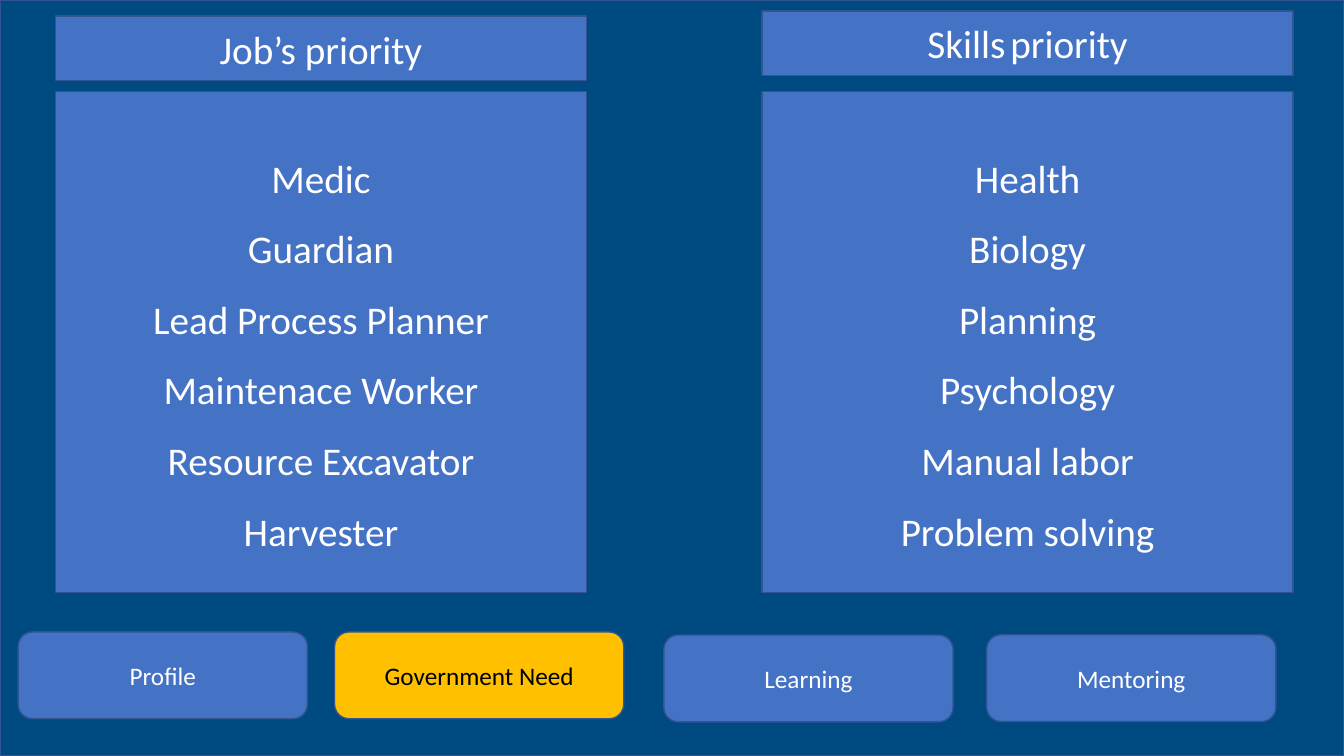
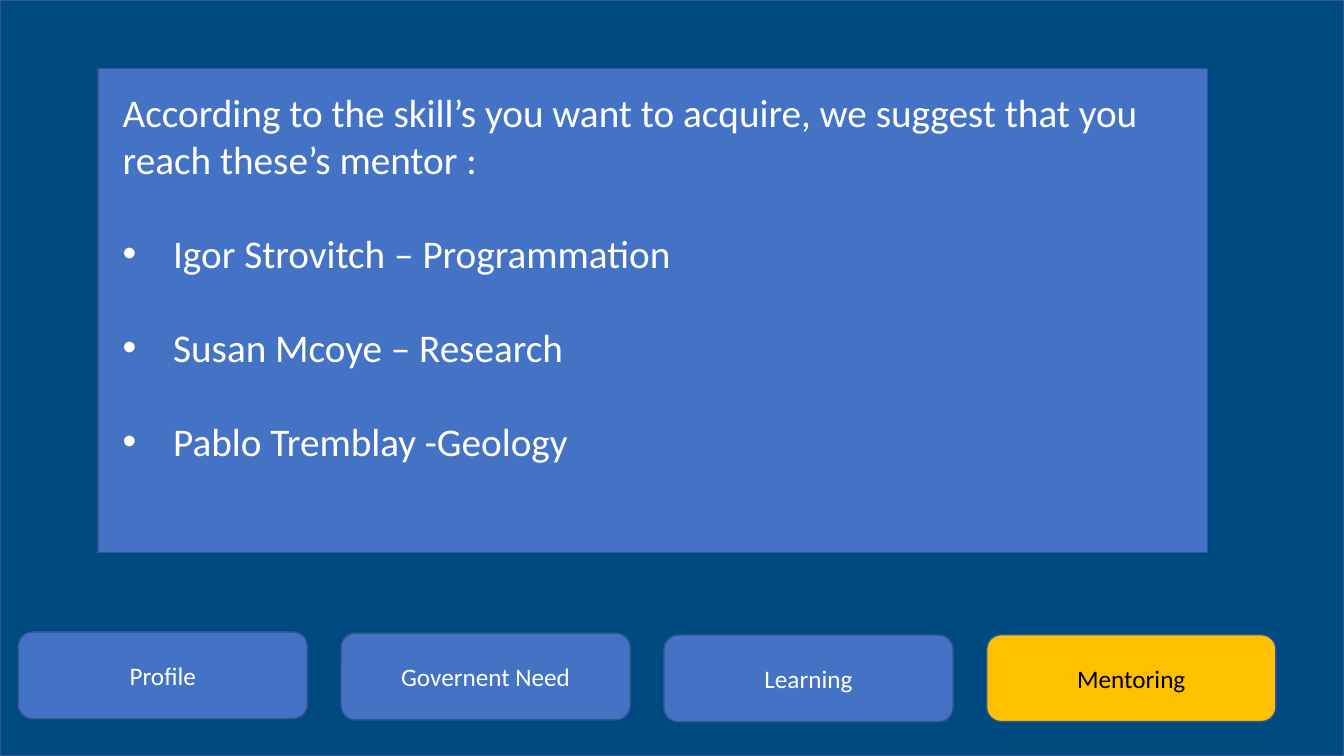
"""Build the two screens of a career guidance app: priorities and mentoring."""
import pptx
import pptx.util
import pptx.dml.color
import pptx.enum.shapes
import pptx.enum.text
from lxml import etree
from pptx.oxml.ns import qn

Pt = pptx.util.Pt
RGBColor = pptx.dml.color.RGBColor
MSO_SHAPE = pptx.enum.shapes.MSO_SHAPE
PP_ALIGN = pptx.enum.text.PP_ALIGN

NAVY = RGBColor(0x00, 0x4A, 0x82)
BLUE = RGBColor(0x44, 0x72, 0xC4)
OUTLINE = RGBColor(0x32, 0x54, 0x91)
GOLD = RGBColor(0xFF, 0xC0, 0x00)
WHITE = RGBColor(0xFF, 0xFF, 0xFF)
BLACK = RGBColor(0x00, 0x00, 0x00)

FONT = "Calibri"
WIDTH, HEIGHT = 960, 540
BODY_SIZE, NAV_SIZE = 28, 18
NAV_LEFT, NAV_PITCH = 13, 230.6
NAV_WIDTH, NAV_HEIGHT = 206.6, 62
PANEL_WIDTH = 379.4

JOBS = ["Medic", "Guardian", "Lead Process Planner", "Maintenace Worker",
        "Resource Excavator", "Harvester"]
SKILLS = ["Health", "Biology", "Planning", "Psychology", "Manual labor",
          "Problem solving"]
MENTOR_INTRO = ("According to the skill’s you want to acquire, "
                "we suggest that you reach these’s mentor :")
MENTORS = ["Igor Strovitch – Programmation", "Susan Mcoye – Research",
           "Pablo Tremblay -Geology"]


def style_font(font, size, color):
    font.name = FONT
    font.size = Pt(size)
    font.color.rgb = color


def add_box(s, kind, left, top, width, height, fill):
    sp = s.shapes.add_shape(kind, Pt(left), Pt(top), Pt(width), Pt(height))
    sp.shadow.inherit = False
    sp.fill.solid()
    sp.fill.fore_color.rgb = fill
    sp.line.color.rgb = OUTLINE
    sp.line.width = Pt(1)
    return sp


def add_label(sp, lines, size=BODY_SIZE, color=WHITE, spacing=None):
    tf = sp.text_frame
    tf.text = "\n".join(lines)
    for p in tf.paragraphs:
        p.alignment = PP_ALIGN.CENTER
        p.line_spacing = spacing
        for r in p.runs:
            style_font(r.font, size, color)


def add_heading(s, left, top, words):
    sp = add_box(s, MSO_SHAPE.RECTANGLE, left, top, PANEL_WIDTH, 46, BLUE)
    add_label(sp, words[:1])
    p = sp.text_frame.paragraphs[0]
    for word in words[1:]:
        for text, size in ((" ", 16), (word, BODY_SIZE)):
            r = p.add_run()
            r.text = text
            style_font(r.font, size, WHITE)


def add_ranking(s, left, items):
    sp = add_box(s, MSO_SHAPE.RECTANGLE, left, 65.5, PANEL_WIDTH, 357.8, BLUE)
    add_label(sp, items, spacing=1.5)


def add_nav(s, active, need_label, need_left, need_top):
    tops = (451.4, need_top, 453.6, 453.4)
    for i, label in enumerate(("Profile", need_label, "Learning", "Mentoring")):
        left = need_left if i == 1 else NAV_LEFT + i * NAV_PITCH
        fill, color = (GOLD, BLACK) if i == active else (BLUE, WHITE)
        sp = add_box(s, MSO_SHAPE.ROUNDED_RECTANGLE, left, tops[i],
                     NAV_WIDTH, NAV_HEIGHT, fill)
        add_label(sp, [label], NAV_SIZE, color)


def add_bullet(p):
    pPr = p._p.get_or_add_pPr()
    pPr.set("marL", str(Pt(36)))
    pPr.set("indent", str(-Pt(36)))
    etree.SubElement(pPr, qn("a:buFont"), typeface="Arial")
    etree.SubElement(pPr, qn("a:buChar"), char="•")


def add_mentor_list(s, left, top, width, height):
    tf = s.shapes.add_textbox(Pt(left), Pt(top), Pt(width), Pt(height)).text_frame
    tf.word_wrap = True
    tf.text = "\n".join([MENTOR_INTRO] + MENTORS)
    for i, p in enumerate(tf.paragraphs):
        if i:
            add_bullet(p)
            p.space_before = Pt(33.5)
        for r in p.runs:
            style_font(r.font, BODY_SIZE, WHITE)


def new_screen(prs):
    s = prs.slides.add_slide(prs.slide_layouts[6])
    add_box(s, MSO_SHAPE.RECTANGLE, 0, 0, WIDTH, HEIGHT, NAVY)
    return s


def main():
    prs = pptx.Presentation()
    prs.slide_width, prs.slide_height = Pt(WIDTH), Pt(HEIGHT)

    s = new_screen(prs)
    add_nav(s, 1, "Government Need", 239, 451.4)
    for left, top, words, items in ((39.6, 11.5, ["Job’s priority"], JOBS),
                                    (544.3, 7.9, ["Skills", "priority"], SKILLS)):
        add_ranking(s, left, items)
        add_heading(s, left, top, words)

    s = new_screen(prs)
    add_nav(s, 3, "Governent Need", NAV_LEFT + NAV_PITCH, 452.2)
    add_box(s, MSO_SHAPE.RECTANGLE, 70, 49, 792.6, 345.5, BLUE)
    add_mentor_list(s, 80.6, 59.8, 762.5, 300)

    prs.save("out.pptx")


if __name__ == "__main__":
    main()
